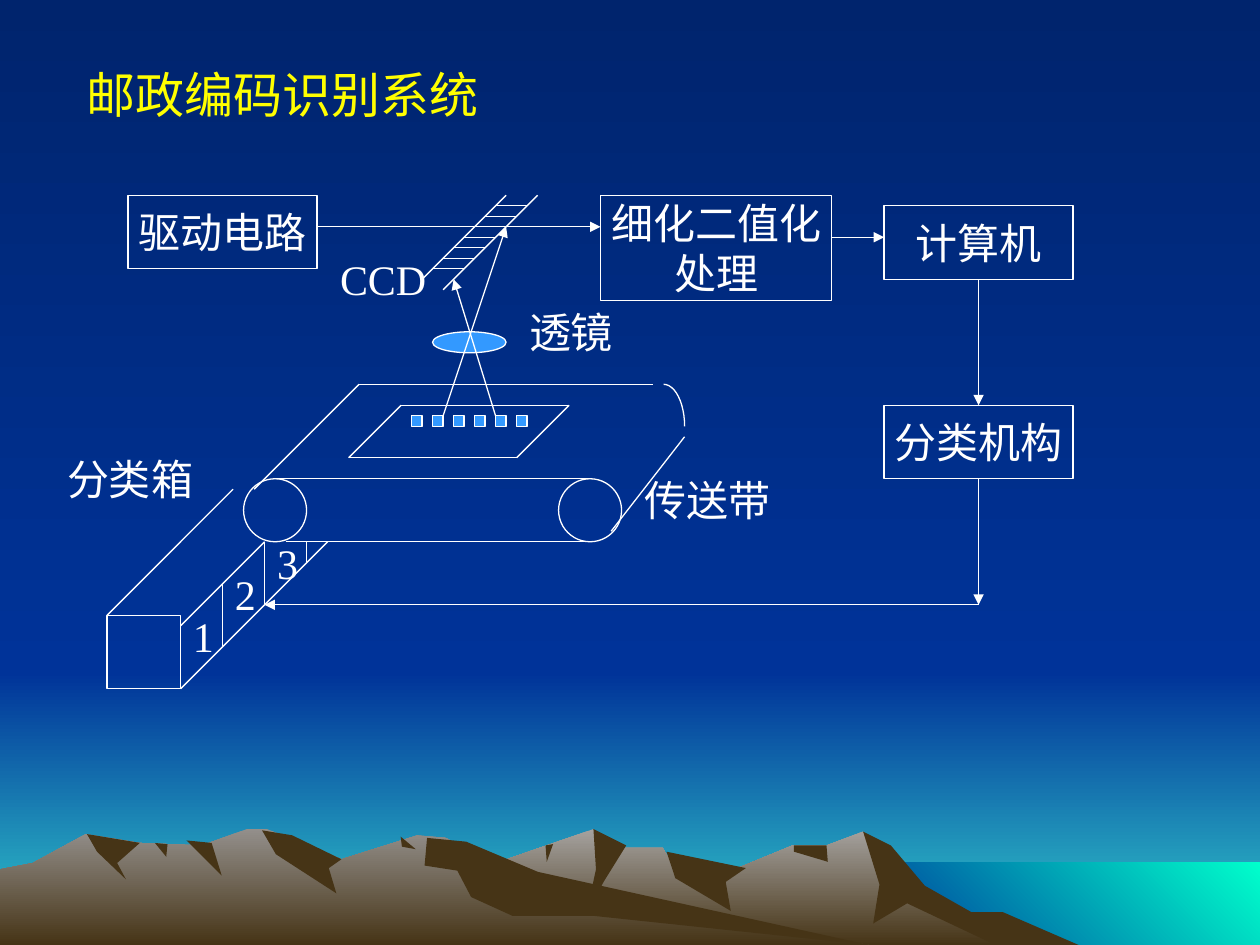
"""Build a slide with a diagram of a postal code recognition system above a mountain landscape."""
from itertools import pairwise

from lxml import etree
from pptx import Presentation
from pptx.dml.color import RGBColor
from pptx.enum.shapes import MSO_CONNECTOR, MSO_SHAPE
from pptx.enum.text import MSO_ANCHOR, MSO_AUTO_SIZE, PP_ALIGN
from pptx.oxml.ns import qn
from pptx.util import Pt

RECTANGLE, OVAL, ARC = MSO_SHAPE.RECTANGLE, MSO_SHAPE.OVAL, MSO_SHAPE.ARC
STRAIGHT = MSO_CONNECTOR.STRAIGHT
CENTER, LEFT = PP_ALIGN.CENTER, PP_ALIGN.LEFT
MIDDLE, TOP = MSO_ANCHOR.MIDDLE, MSO_ANCHOR.TOP
GROW = MSO_AUTO_SIZE.SHAPE_TO_FIT_TEXT

COLORS = {
    "night": "001847", "sky": "00246D", "blue": "003399", "horizon": "33CCCC", "sea": "00FFCC",
    "stone": "A5A29F", "rock": "938F8B", "earth": "463416",
    "white": "FFFFFF", "lens": "3399FF", "title": "FFFF00",
}
GRID, GRID_LEFT, GRID_TOP = 6, 1.2, 3.6
TERRAIN_UNIT = 0.72
DOWN, UP_RIGHT = 270, 45

BANDS = [
    (0, 384, 720, 156, ("blue", "horizon"), DOWN),
    (0, 0, 720, 384, ("sky", "blue"), DOWN),
    (492, 493, 228, 47, ("blue", "sea"), UP_RIGHT),
]
BACK_RIDGE = [
    (820, 750), (764, 723), (723, 698), (685, 660), (656, 671), (629, 671), (566, 697),
    (536, 690), (526, 673), (486, 673), (471, 658), (405, 681), (327, 709), (258, 750)]
BACK_SHADOWS = [
    [(685, 660), (707, 671), (734, 703), (771, 724), (796, 724), (856, 750), (790, 750),
     (720, 717), (693, 733), (698, 702)],
    [(471, 658), (497, 671), (479, 700), (465, 727), (473, 690)],
    [(529, 676), (592, 689), (576, 700), (580, 723), (536, 697)],
    [(630, 671), (656, 671), (657, 684), (630, 676)],
    [(433, 671), (439, 670), (434, 684)],
]
FRONT_RIDGE = [
    (0, 750), (0, 690), (26, 685), (68, 662), (111, 669), (160, 671), (196, 658), (212, 658),
    (271, 682), (331, 663), (354, 665), (432, 712), (690, 750)]
FRONT_SHADOWS = [
    [(208, 659), (232, 663), (271, 682), (261, 689), (267, 709), (219, 678)],
    [(339, 665), (370, 668), (427, 692), (690, 750), (472, 727), (407, 727), (374, 712),
     (363, 691), (337, 687)],
    [(148, 667), (168, 669), (176, 695)],
    [(69, 662), (111, 669), (93, 685), (100, 698), (77, 676)],
    [(318, 664), (330, 674), (319, 672)],
    [(123, 669), (133, 670), (132, 680)],
]
TERRAIN = [
    (("stone", "earth"), [BACK_RIDGE]), (("earth",), BACK_SHADOWS),
    (("rock", "earth"), [FRONT_RIDGE]), (("earth",), FRONT_SHADOWS),
]
BOXES = [
    (12, 18, 18, 7, ["驱动电路"]),
    (84, 38, 18, 7, ["分类机构"]),
    (84, 19, 18, 7, ["计算机"]),
    (57, 18, 22, 10, ["细化二值化", "处理"]),
]
OUTLINES = [
    (OVAL, 23, 45, 6, 6, None),
    (OVAL, 53, 45, 6, 6, None),
    (ARC, 61, 36, 4, 8, None),
    (OVAL, 41, 31, 7, 2, "lens"),
    (RECTANGLE, 10, 58, 7, 7, None),
] + [(RECTANGLE, x, 39, 1, 1, "lens") for x in range(39, 50, 2)]
BELT = [[(26, 45), (56, 45)], [(27, 51), (56, 51)], [(24, 46), (34, 36), (62, 36)], [(58, 50), (65, 41)]]
LETTER = [(38, 38), (54, 38), (49, 43), (33, 43), (38, 38)]
CCD_RAILS = [[(40, 26), (48, 18)], [(42, 27), (51, 18)]]
CCD_CELLS = [[(66 - y, y), (69 - y, y)] for y in range(19, 26)]
BIN_EDGES = [[(22, 46), (10, 58)], [(17, 59), (25, 51)], [(17, 65), (31, 51)]]
BIN_DIVIDERS = [[(x, max(51, 76 - x)), (x, 82 - x)] for x in (21, 25, 29)]
DRIVE = [(30, 21), (45, 21)]
LINES = BELT + [LETTER] + CCD_RAILS + CCD_CELLS + BIN_EDGES + BIN_DIVIDERS + [DRIVE]
ARROWS = [
    [(42, 39), (48, 21)], [(47, 39), (43, 26)], [(48, 21), (57, 21)], [(79, 22), (84, 22)],
    [(93, 26), (93, 38)], [(93, 45), (93, 57), (25, 57)]]
LABELS = [
    (60, 44, 16, "传送带"), (31, 23, 16, "CCD"), (49, 28, 16, "透镜"), (5, 42, 16, "分类箱"),
    (17, 57, 5, "1"), (21, 53, 5, "2"), (25, 50, 4, "3"),
]
TITLE = "邮政编码识别系统"
BODY_FONT = {"name": "Times New Roman", "size": Pt(24)}
TITLE_FONT = {"name": "Arial", "size": Pt(28)}


def color(name):
    return RGBColor.from_string(COLORS[name])


def grid_point(x, y):
    return Pt(GRID_LEFT + GRID * x), Pt(GRID_TOP + GRID * y)


def paint(fill, names, angle=DOWN):
    if len(names) == 1:
        fill.solid()
        fill.fore_color.rgb = color(names[0])
        return
    fill.gradient()
    fill.gradient_angle = angle
    for stop, name in zip(fill.gradient_stops, names):
        stop.color.rgb = color(name)


def add_scenery(slide):
    paint(slide.background.fill, ("night", "blue"))
    painted = []
    for left, top, width, height, names, angle in BANDS:
        band = slide.shapes.add_shape(RECTANGLE, Pt(left), Pt(top), Pt(width), Pt(height))
        painted.append((band, names, angle))
    for names, polygons in TERRAIN:
        for points in polygons:
            builder = slide.shapes.build_freeform(*points[0], scale=Pt(TERRAIN_UNIT))
            builder.add_line_segments(points[1:], close=True)
            painted.append((builder.convert_to_shape(), names, DOWN))
    for shape, names, angle in painted:
        paint(shape.fill, names, angle)
        shape.line.fill.background()
        shape.shadow.inherit = False


def add_outline(slide, kind, x, y, width, height, fill=None):
    shape = slide.shapes.add_shape(kind, *grid_point(x, y), Pt(GRID * width), Pt(GRID * height))
    shape.shadow.inherit = False
    if fill:
        paint(shape.fill, (fill,))
    else:
        shape.fill.background()
    shape.line.color.rgb = color("white")
    shape.line.width = Pt(0.75)
    return shape


def add_lines(slide, points, arrow=False):
    for start, end in pairwise(points):
        connector = slide.shapes.add_connector(STRAIGHT, *grid_point(*start), *grid_point(*end))
        connector.line.color.rgb = color("white")
        connector.line.width = Pt(0.75)
        properties = connector._element.spPr
        if arrow:
            etree.SubElement(properties.find(qn("a:ln")), qn("a:tailEnd"), type="triangle")
        etree.SubElement(properties, qn("a:effectLst"))


def write(shape, texts, font, color_name, alignment=LEFT, **frame_format):
    frame = shape.text_frame
    for name, value in frame_format.items():
        setattr(frame, name, value)
    for index, text in enumerate(texts):
        paragraph = frame.add_paragraph() if index else frame.paragraphs[0]
        paragraph.text = text
        paragraph.alignment = alignment
        for name, value in font.items():
            setattr(paragraph.font, name, value)
        paragraph.font.color.rgb = color(color_name)


def main():
    presentation = Presentation()
    presentation.slide_width, presentation.slide_height = Pt(720), Pt(540)
    slide = presentation.slides.add_slide(presentation.slide_layouts[6])
    add_scenery(slide)
    for *place, texts in BOXES:
        box = add_outline(slide, RECTANGLE, *place)
        write(box, texts, BODY_FONT, "white", CENTER, word_wrap=False, vertical_anchor=MIDDLE)
    for outline in OUTLINES:
        add_outline(slide, *outline)
    for points in LINES:
        add_lines(slide, points)
    for points in ARROWS:
        add_lines(slide, points, arrow=True)
    for x, y, width, text in LABELS:
        label = slide.shapes.add_textbox(*grid_point(x, y), Pt(GRID * width), Pt(GRID * 6))
        write(label, [text], BODY_FONT, "white", word_wrap=True, vertical_anchor=TOP, auto_size=GROW)
    title = slide.shapes.add_textbox(Pt(42.5), Pt(33.1), Pt(238.3), Pt(41))
    write(title, [TITLE], TITLE_FONT, "title", word_wrap=False, auto_size=GROW)
    presentation.save("out.pptx")


if __name__ == "__main__":
    main()
